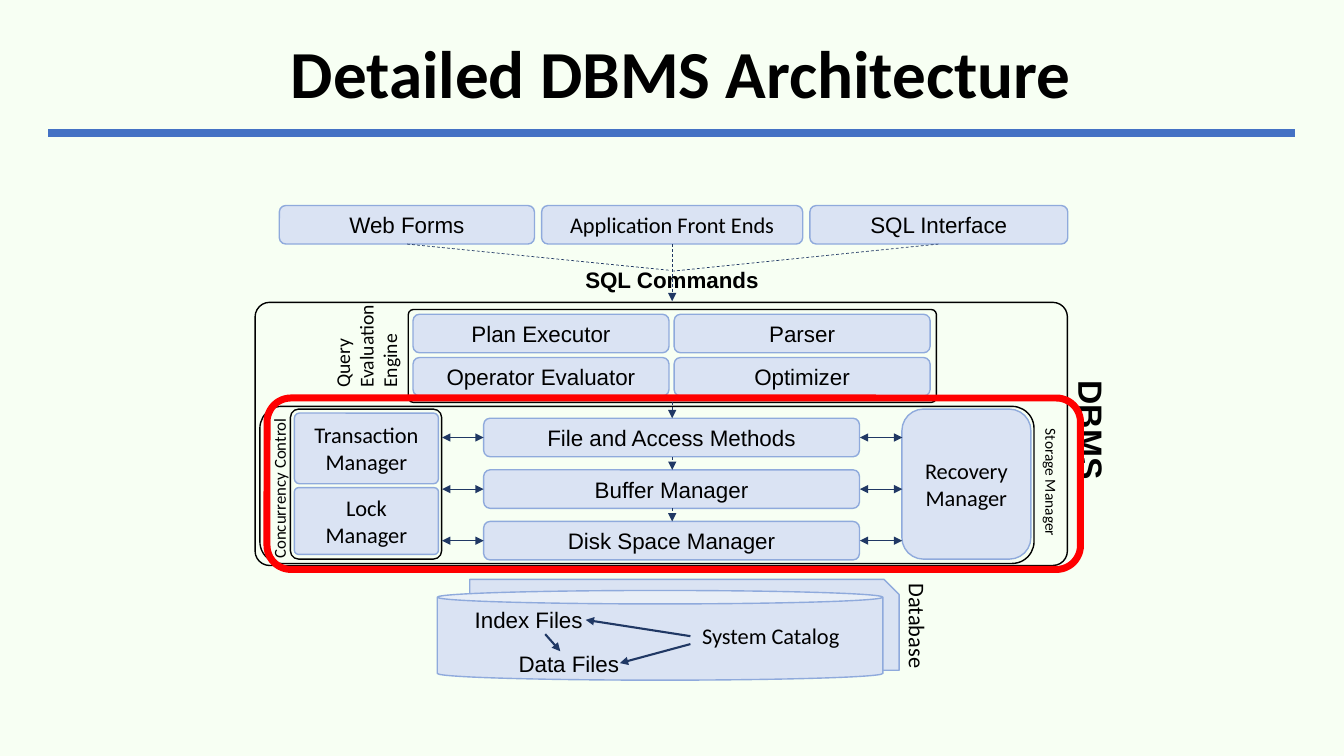
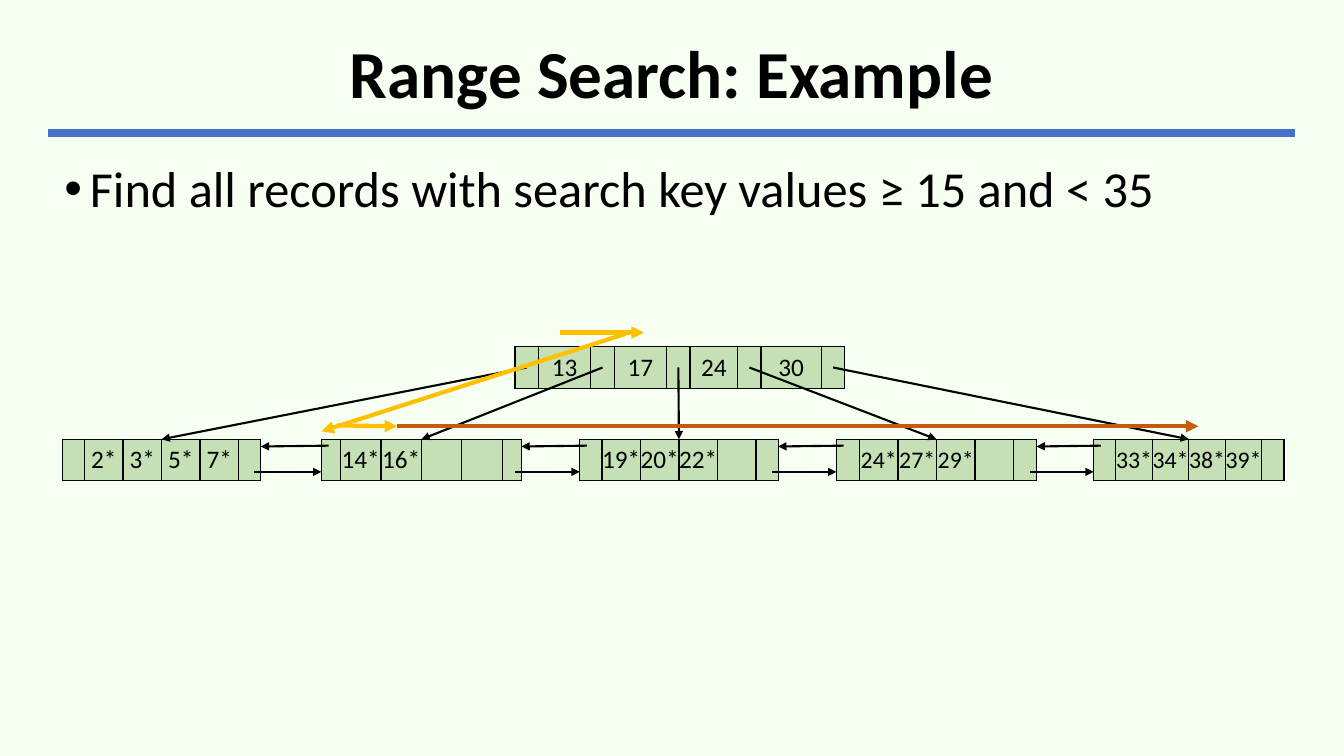
from dataclasses import dataclass

from lxml import etree
from pptx import Presentation
from pptx.dml.color import RGBColor
from pptx.enum.dml import MSO_LINE
from pptx.enum.shapes import MSO_CONNECTOR, MSO_SHAPE
from pptx.enum.text import MSO_ANCHOR, MSO_AUTO_SIZE, PP_ALIGN
from pptx.oxml.ns import qn
from pptx.slide import Slide
from pptx.util import Cm, Pt

ROUNDED = MSO_SHAPE.ROUNDED_RECTANGLE
SNIPPED = MSO_SHAPE.SNIP_1_RECTANGLE
CAN = MSO_SHAPE.CAN
STRAIGHT = MSO_CONNECTOR.STRAIGHT
DASH = MSO_LINE.DASH
LEFT = PP_ALIGN.LEFT
CENTER = PP_ALIGN.CENTER
MIDDLE = MSO_ANCHOR.MIDDLE
TOP = MSO_ANCHOR.TOP
NO_AUTOFIT = MSO_AUTO_SIZE.NONE

COLORS = {
    "background": "F7FFF3",
    "rule": "4472C4",
    "text": "000000",
    "box": "DAE3F3",
    "box_line": "8FAADC",
    "arrow": "203864",
    "highlight": "FF0000",
    "node": "C5E0B4",
    "descent": "FFC000",
    "scan": "C55A11",
}
SANS = "Arial"
BODY = "Calibri"
ROW = 0.97
NODE_HEIGHT = 1.04
ROOT_TOP = 8.74
LEAF_TOP = 11.07


@dataclass
class Box:
    left: float
    top: float
    width: float
    height: float = ROW
    text: str = ""
    font: str = SANS
    size: int = 16
    bold: bool = False
    align: PP_ALIGN = CENTER
    fill: str = "box"
    line: str = "box_line"
    line_width: float = 1
    shape: MSO_SHAPE = ROUNDED
    adjust: float | None = None
    rotation: int = 0


@dataclass
class Line:
    start: tuple[float, float]
    end: tuple[float, float]
    color: str = "arrow"
    width: float = 0.5
    dashed: bool = False
    head: bool = False
    tail: bool = True


@dataclass
class Node:
    left: float
    top: float
    widths: list[float]
    labels: list[str]
    size: int = 18

    @property
    def right(self) -> float:
        return self.left + sum(self.widths)

    @property
    def center(self) -> float:
        return (self.left + self.right) / 2

    def cell_center(self, index: int) -> float:
        return self.left + sum(self.widths[:index]) + self.widths[index] / 2


def rgb(name: str) -> RGBColor:
    return RGBColor.from_string(COLORS[name])


def style_paragraph(paragraph, font: str, size: float, bold: bool = False, align=CENTER) -> None:
    paragraph.alignment = align
    paragraph.font.name = font
    paragraph.font.size = Pt(size)
    paragraph.font.bold = bold
    paragraph.font.color.rgb = rgb("text")


def place(shape, left: float, top: float, width: float, height: float) -> None:
    shape.left, shape.top = Cm(left), Cm(top)
    shape.width, shape.height = Cm(width), Cm(height)


def draw_box(page: Slide, box: Box) -> None:
    shape = page.shapes.add_shape(
        box.shape, Cm(box.left), Cm(box.top), Cm(box.width), Cm(box.height))
    shape.shadow.inherit = False
    shape.rotation = box.rotation
    if box.adjust is not None:
        shape.adjustments[0] = box.adjust
    if box.fill:
        shape.fill.solid()
        shape.fill.fore_color.rgb = rgb(box.fill)
    else:
        shape.fill.background()
    if box.line:
        shape.line.color.rgb = rgb(box.line)
        shape.line.width = Pt(box.line_width)
    else:
        shape.line.fill.background()
    if box.text:
        frame = shape.text_frame
        frame.word_wrap = True
        frame.vertical_anchor = MIDDLE
        frame.text = box.text
        style_paragraph(frame.paragraphs[0], box.font, box.size, box.bold, box.align)


def draw_line(page: Slide, line: Line) -> None:
    (x1, y1), (x2, y2) = line.start, line.end
    connector = page.shapes.add_connector(STRAIGHT, Cm(x1), Cm(y1), Cm(x2), Cm(y2))
    connector.line.color.rgb = rgb(line.color)
    connector.line.width = Pt(line.width)
    if line.dashed:
        connector.line.dash_style = DASH
    outline = connector.line._get_or_add_ln()
    for wanted, tag in ((line.head, "a:headEnd"), (line.tail, "a:tailEnd")):
        if wanted:
            etree.SubElement(outline, qn(tag), type="triangle")
    etree.SubElement(outline.getparent(), qn("a:effectLst"))


def draw_node(page: Slide, node: Node) -> None:
    table = page.shapes.add_table(
        1, len(node.widths), Cm(node.left), Cm(node.top),
        Cm(node.right - node.left), Cm(NODE_HEIGHT)).table
    table.first_row = table.horz_banding = False
    for column, width in zip(table.columns, node.widths):
        column.width = Cm(width)
    for cell, label in zip(table.rows[0].cells, node.labels):
        properties = cell._tc.get_or_add_tcPr()
        for side in ("a:lnL", "a:lnR", "a:lnT", "a:lnB"):
            border = etree.SubElement(properties, qn(side), w=str(Pt(1)))
            solid = etree.SubElement(border, qn("a:solidFill"))
            etree.SubElement(solid, qn("a:srgbClr"), val=COLORS["text"])
        cell.fill.solid()
        cell.fill.fore_color.rgb = rgb("node")
        cell.margin_left = cell.margin_right = cell.margin_top = cell.margin_bottom = 0
        cell.vertical_anchor = MIDDLE
        cell.text = label
        style_paragraph(cell.text_frame.paragraphs[0], BODY, node.size)


def add_page(deck, layout: int, title: str, title_left: float = 1.22) -> Slide:
    page = deck.slides.add_slide(deck.slide_layouts[layout])
    draw_line(page, Line((1.22, 3.35), (32.64, 3.35), "rule", 6, tail=False))
    place(page.shapes.title, title_left, 0.61, 31.42, 2.65)
    frame = page.shapes.title.text_frame
    frame.auto_size = NO_AUTOFIT
    frame.vertical_anchor = MIDDLE
    frame.text = title
    frame.paragraphs[0].line_spacing = 0.9
    style_paragraph(frame.paragraphs[0], BODY, 48, bold=True)
    return page


def label(left: float, top: float, width: float, text: str, **options) -> Box:
    return Box(left, top, width, text=text, fill="", line="", **options)


def outline(left: float, top: float, width: float, height: float, adjust: float = 0.055) -> Box:
    return Box(left, top, width, height, fill="", line="text", adjust=adjust)


def build_architecture(deck) -> None:
    page = add_page(deck, 5, "Detailed DBMS Architecture", 1.45)
    boxes = [Box(11.84, 14.6, 10.82, 2.29, shape=SNIPPED)]

    left = 7.04
    for text, width, font in (("Web Forms", 6.43, SANS),
                              ("Application Front Ends", 6.58, BODY),
                              ("SQL Interface", 6.5, SANS)):
        boxes.append(Box(left, 5.18, width, text=text, font=font))
        left += width + 0.18

    boxes += [
        label(14.33, 6.55, 5.21, "SQL Commands", bold=True),
        outline(6.43, 7.62, 20.47, 6.63),
        outline(10.29, 7.8, 13.31, 2.34),
    ]
    engine = ("Plan Executor", "Parser", "Operator Evaluator", "Optimizer")
    for index, text in enumerate(engine):
        row, column = divmod(index, 2)
        boxes.append(Box(10.41 + 6.58 * column, 7.92 + 1.09 * row, 6.45, text=text))

    lines = [
        Line((10.26, 6.15), (16.87, 6.81), dashed=True, tail=False),
        Line((16.94, 6.15), (16.94, 7.59), dashed=True),
        Line((23.65, 6.15), (16.97, 6.83), dashed=True, tail=False),
    ]
    above = 10.14
    for index, text in enumerate(("File and Access Methods", "Buffer Manager", "Disk Space Manager")):
        top = 10.54 + 1.3 * index
        middle = top + ROW / 2
        boxes.append(Box(12.19, top, 9.47, text=text))
        lines += [
            Line((16.94, above), (16.94, top), dashed=True),
            Line((21.67, middle), (22.74, middle), head=True),
            Line((11.14, middle), (12.19, middle), head=True),
        ]
        above = top + ROW

    boxes += [
        Box(22.73, 10.31, 3.25, 3.78, "Recovery Manager", BODY),
        Box(7.42, 10.41, 3.63, 1.78, "Transaction Manager", BODY, adjust=0.07),
        Box(7.42, 12.29, 3.63, 1.68, "Lock Manager", BODY, adjust=0.06),
        outline(7.32, 10.31, 3.81, 3.78),
        Box(11.02, 14.88, 11.23, 2.26, shape=CAN, adjust=0.15),
        label(11.23, 15.14, 4.19, "Index Files"),
        label(12.24, 16.23, 4.19, "Data Files"),
        label(16.87, 15.54, 5.11, "System Catalog", font=BODY),
        label(21.72, 15.29, 2.82, "Database", font=BODY, rotation=90),
        label(7.57, 7.34, 3.3, "Query Evaluation Engine", height=2.29, font=BODY, size=14,
              align=LEFT, rotation=270),
        label(4.85, 11.68, 4.37, "Concurrency Control", height=1.02, font=BODY, size=12,
              align=LEFT, rotation=270),
        label(25.86, 10.46, 3.3, "DBMS", size=24, bold=True, align=LEFT, rotation=90),
        label(24.66, 11.84, 3.68, "Storage Manager", height=1.02, font=BODY, size=11,
              align=LEFT, rotation=90),
    ]
    lines += [
        Line((17.4, 16.03), (14.76, 15.62), width=1.5),
        Line((17.4, 16.23), (15.62, 16.71), width=1.5),
        Line((13.74, 15.98), (14.12, 16.41), width=1.5),
    ]
    for box in boxes:
        draw_box(page, box)
    for line in lines:
        draw_line(page, line)
    draw_box(page, outline(6.55, 10.24, 19.51, 3.96, 0.14))
    draw_box(page, Box(6.73, 10.03, 20.5, 4.32, fill="", line="highlight", line_width=5, adjust=0.14))


def leaf(left: float, edge: float, width: float, keys: list[str], size: int = 18) -> Node:
    labels = ["", *keys, *[""] * (5 - len(keys))]
    return Node(left, LEAF_TOP, [edge, *[width] * 4, edge], labels, size)


def build_range_search(deck) -> None:
    page = add_page(deck, 1, "Range Search: Example")
    body = page.placeholders[1]
    place(body, 1.37, 3.84, 31.01, 3.99)
    frame = body.text_frame
    frame.auto_size = NO_AUTOFIT
    frame.vertical_anchor = TOP
    frame.text = "Find all records with search key values ≥ 15 and < 35"
    paragraph = frame.paragraphs[0]
    properties = paragraph._p.get_or_add_pPr()
    properties.set("marL", str(Cm(0.64)))
    properties.set("indent", str(Cm(-0.64)))
    etree.SubElement(properties, qn("a:buFont"), typeface=SANS)
    etree.SubElement(properties, qn("a:buChar"), char="•")
    paragraph.space_before = Pt(0)
    style_paragraph(paragraph, BODY, 36, align=LEFT)

    pointer = 0.59
    root = Node(12.98, ROOT_TOP,
                [pointer, 1.32, pointer, 1.32, pointer, 1.2, pointer, 1.52, pointer],
                ["", "13", "", "17", "", "24", "", "30", ""])
    leaves = [
        leaf(1.57, 0.56, 0.97, ["2*", "3*", "5*", "7*"]),
        leaf(8.1, 0.48, 1.02, ["14*", "16*"]),
        leaf(14.61, 0.56, 0.97, ["19*", "20*", "22*"]),
        leaf(21.08, 0.58, 0.97, ["24*", "27*", "29*"], 17),
        leaf(27.56, 0.56, 0.92, ["33*", "34*", "38*", "39*"], 17),
    ]
    for node in (root, *leaves):
        draw_node(page, node)

    lines = [Line((root.cell_center(2 * index), ROOT_TOP + NODE_HEIGHT / 2),
                  (child.center, LEAF_TOP), "text", 1.5)
             for index, child in enumerate(leaves)]
    for current, following in zip(leaves, leaves[1:]):
        lines += [
            Line((following.left + 0.18, 11.23), (current.right, 11.25), "text", 1.5),
            Line((current.right - 0.16, 11.89), (following.left, 11.89), "text", 1.5),
        ]
    lines += [
        Line((14.12, 8.38), (16.23, 8.38), "descent", 3),
        Line((15.77, 8.41), (8.1, 10.87), "descent", 3),
        Line((10.01, 10.74), (30.2, 10.74), "scan", 3),
        Line((8.48, 10.72), (10.01, 10.74), "descent", 3),
    ]
    for line in lines:
        draw_line(page, line)


def main() -> None:
    deck = Presentation()
    deck.slide_width, deck.slide_height = Cm(33.87), Cm(19.05)
    background = deck.slide_master.background.fill
    background.solid()
    background.fore_color.rgb = rgb("background")
    build_architecture(deck)
    build_range_search(deck)
    deck.save("out.pptx")


if __name__ == "__main__":
    main()
